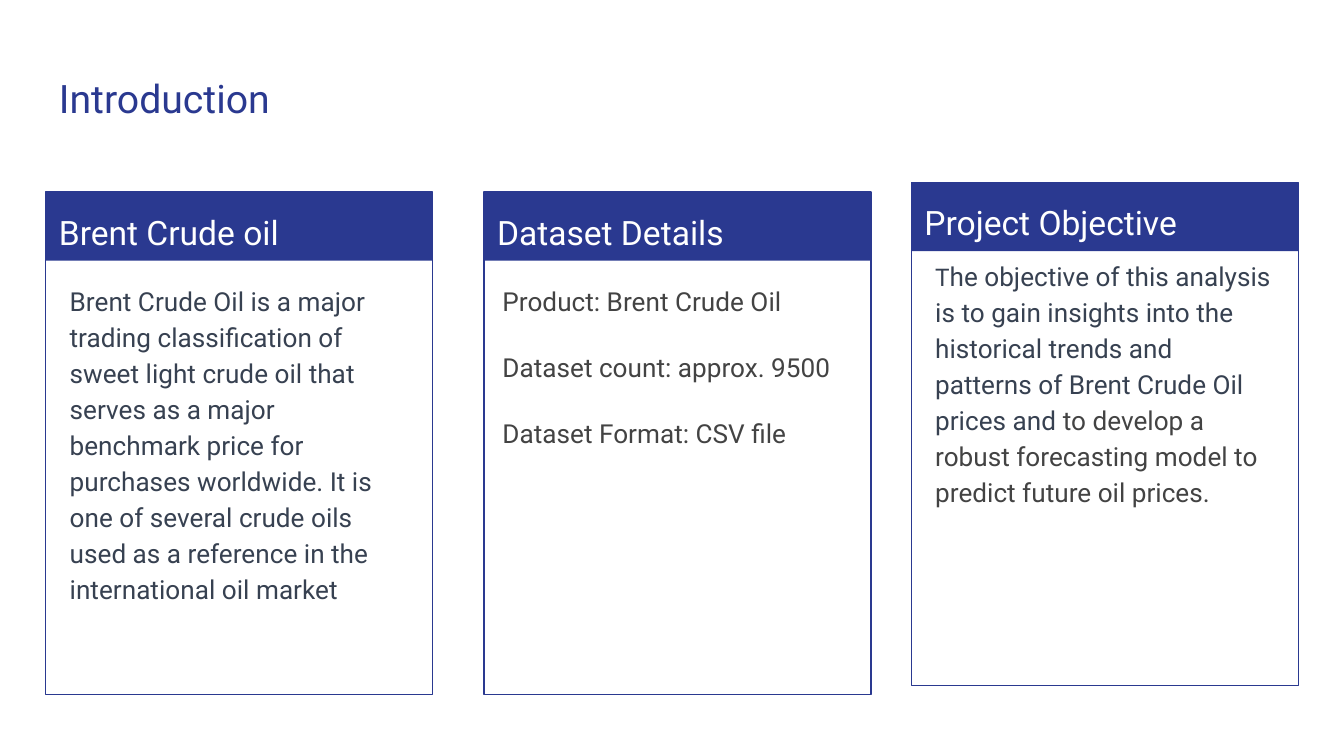
from dataclasses import dataclass

from pptx import Presentation
from pptx.dml.color import RGBColor as Rgb
from pptx.enum.shapes import MSO_SHAPE as Kind
from pptx.enum.text import MSO_ANCHOR as Anchor
from pptx.slide import Slide
from pptx.util import Inches, Pt


@dataclass(frozen=True)
class Theme:
    font: str = "Roboto"
    navy: str = "2A3990"
    white: str = "FFFFFF"
    slate: str = "374151"
    gray: str = "434343"
    title: int = 21
    head: int = 18
    body: int = 14
    small: int = 13
    line: float = 0.75
    lead: float = 1.15
    gap: int = 16


@dataclass(frozen=True)
class Box:
    left: float
    top: float
    width: float
    height: float


@dataclass(frozen=True)
class Part:
    text: str
    color: str
    size: int


@dataclass(frozen=True)
class Card:
    head: str
    left: float
    top: float
    inset: float
    drop: float
    depth: float
    paras: list[list[Part]]


LOOK = Theme()
WIDTH, HEIGHT, BAR = 2.88, 3.74, 0.51

CARDS = [
    Card("Brent Crude oil", 0.34, 1.43, 0.08, 0.56, 3.18, [[Part(
        "Brent Crude Oil is a major trading classification of sweet light "
        "crude oil that serves as a major benchmark price for purchases "
        "worldwide. It is one of several crude oils used as a reference in "
        "the international oil market", LOOK.slate, LOOK.body)]]),
    Card("Project Objective", 6.78, 1.36, 0.08, 0.44, 3.43, [[
        Part("T", LOOK.slate, LOOK.small),
        Part("he objective of this analysis is to gain insights into the "
             "historical trends and patterns of Brent Crude Oil prices and ",
             LOOK.slate, LOOK.body),
        Part("to develop a robust forecasting model to predict future oil "
             "prices.", LOOK.gray, LOOK.body)]]),
    Card("Dataset Details", 3.6, 1.43, 0.04, 0.56, 3.06, [
        [Part(text, LOOK.gray, LOOK.body)] for text in (
            "Product: Brent Crude Oil",
            "Dataset count: approx. 9500",
            "Dataset Format: CSV file")]),
]


def style(font, part: Part) -> None:
    font.size = Pt(part.size)
    font.color.rgb = Rgb.from_string(part.color)


def place(box: Box) -> tuple:
    return tuple(map(Inches, (box.left, box.top, box.width, box.height)))


def add_text(slide: Slide, box: Box, paras: list[list[Part]],
             lead: float = 1.0) -> None:
    frame = slide.shapes.add_textbox(*place(box)).text_frame
    frame.word_wrap = True
    frame.vertical_anchor = Anchor.TOP
    frame.margin_left = frame.margin_right = Inches(0.1)
    frame.margin_top = frame.margin_bottom = Inches(0.1)
    for index, parts in enumerate(paras):
        para = frame.add_paragraph() if index else frame.paragraphs[0]
        para.line_spacing = lead
        para.space_before = Pt(LOOK.gap if index else 0)
        para.font.name = LOOK.font
        if len(parts) == 1:
            style(para.font, parts[0])
        for part in parts:
            run = para.add_run()
            run.text = part.text
            if len(parts) > 1:
                style(run.font, part)


def add_rect(slide: Slide, box: Box, solid: bool) -> None:
    rect = slide.shapes.add_shape(Kind.RECTANGLE, *place(box))
    rect.shadow.inherit = False
    navy = Rgb.from_string(LOOK.navy)
    if solid:
        rect.fill.solid()
        rect.fill.fore_color.rgb = navy
        rect.line.fill.background()
    else:
        rect.fill.background()
        rect.line.color.rgb = navy
        rect.line.width = Pt(LOOK.line)


def add_card(slide: Slide, card: Card) -> None:
    add_rect(slide, Box(card.left, card.top, WIDTH, BAR), True)
    add_rect(slide, Box(card.left, card.top, WIDTH, HEIGHT), False)
    add_text(slide, Box(card.left, card.top, 2.73, 0.5),
             [[Part(card.head, LOOK.white, LOOK.head)]], LOOK.lead)
    add_text(slide, Box(card.left + card.inset, card.top + card.drop,
                        2.71, card.depth), card.paras, LOOK.lead)


def main() -> None:
    deck = Presentation()
    deck.slide_width = Inches(10)
    deck.slide_height = Inches(10) * 9 // 16
    slide = deck.slides.add_slide(deck.slide_layouts[6])
    add_text(slide, Box(0.34, 0.45, 9.32, 0.66),
             [[Part("Introduction", LOOK.navy, LOOK.title)]])
    for card in CARDS:
        add_card(slide, card)
    deck.save("out.pptx")


if __name__ == "__main__":
    main()
